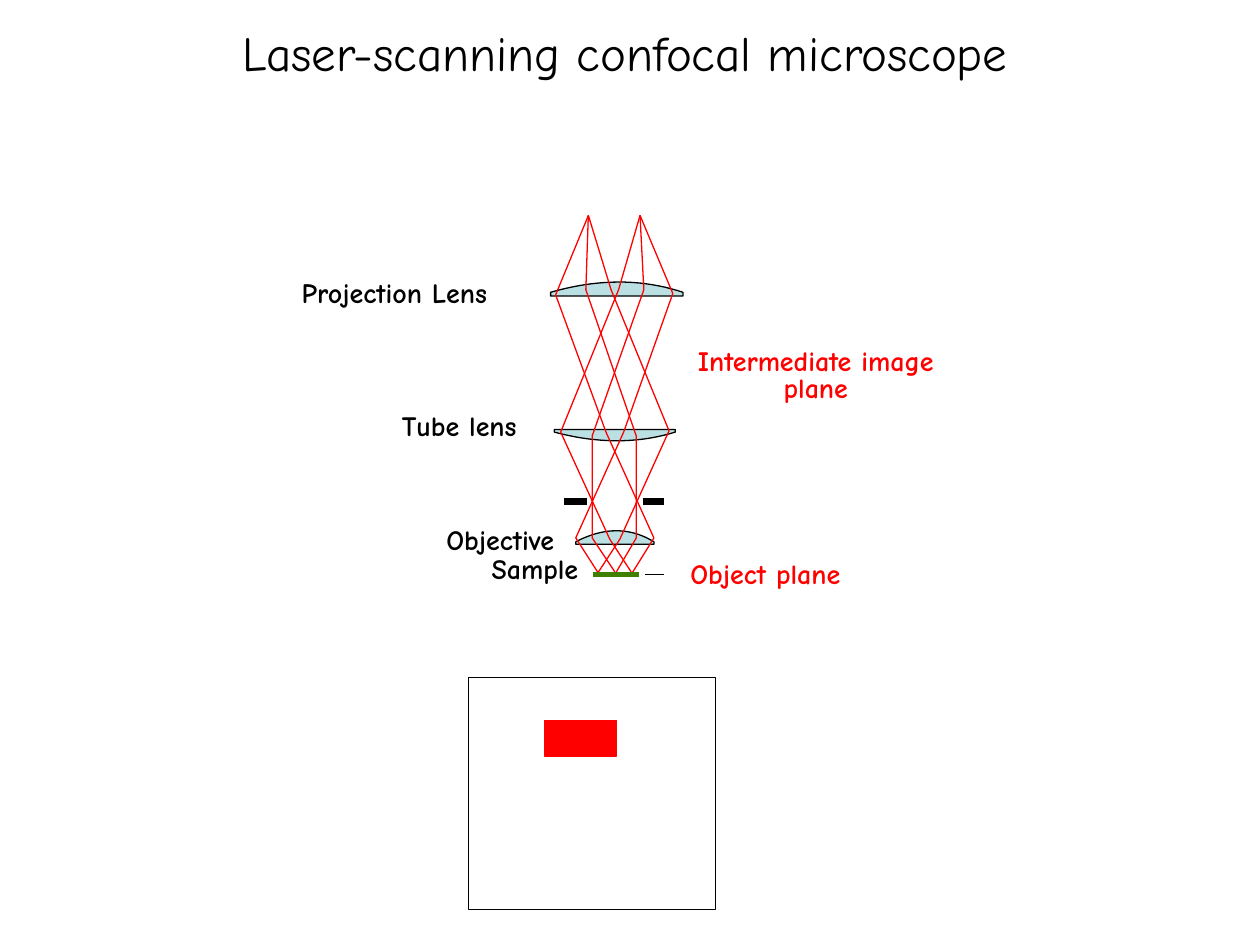
from dataclasses import dataclass

import pptx
import pptx.dml.color
import pptx.enum.shapes
import pptx.enum.text
import pptx.oxml
import pptx.util
from pptx.util import Inches


@dataclass(frozen=True)
class Theme:
    font: str = "Comic Neue"
    title_size: int = 28
    label_size: int = 16
    thin: float = 0.75
    sample_width: float = 3
    stop_width: float = 4.5
    black: str = "000000"
    red: str = "FF0000"
    glass: str = "BBE0E3"
    green: str = "408000"


THEME = Theme()


def rgb(value):
    return pptx.dml.color.RGBColor.from_string(value)


def place(shape, left, top, width, height):
    shape.left, shape.top = Inches(left), Inches(top)
    shape.width, shape.height = Inches(width), Inches(height)


def write(paragraph, text, size, color, bold=False):
    paragraph.alignment = pptx.enum.text.PP_ALIGN.CENTER
    run = paragraph.add_run()
    run.text = text
    run.font.name = THEME.font
    run.font.size = pptx.util.Pt(size)
    run.font.bold = bold
    run.font.color.rgb = rgb(color)


def style(shape, line, fill=None):
    shape.shadow.inherit = False
    if fill:
        shape.fill.solid()
        shape.fill.fore_color.rgb = rgb(fill)
    else:
        shape.fill.background()
    shape.line.color.rgb = rgb(line)
    shape.line.width = pptx.util.Pt(THEME.thin)


def add_title(slide, text):
    title = slide.shapes.title
    place(title, 1.52, 0, 6.88, 0.83)
    title.text_frame.vertical_anchor = pptx.enum.text.MSO_ANCHOR.MIDDLE
    write(title.text_frame.paragraphs[0], text, THEME.title_size, THEME.black)


def add_label(slide, text, box, color, wrap=False, spacing=None):
    label = slide.shapes.add_textbox(*map(Inches, box))
    frame = label.text_frame
    frame.word_wrap = wrap
    frame.auto_size = pptx.enum.text.MSO_AUTO_SIZE.SHAPE_TO_FIT_TEXT
    paragraph = frame.paragraphs[0]
    if spacing:
        paragraph.line_spacing = spacing
    write(paragraph, text, THEME.label_size, color, bold=True)


def add_outline(slide, points, line, fill=None):
    corners = [(Inches(x), Inches(y)) for x, y in points]
    builder = slide.shapes.build_freeform(*corners[0])
    builder.add_line_segments(corners[1:], close=fill is not None)
    style(builder.convert_to_shape(), line, fill)


def add_lens(slide, left, right, flat, rim, bulge, steps=24):
    """Flat on one side, a cubic curve from rim to rim on the other."""
    width = right - left
    xs = (right, left + 0.63 * width, left + 0.28 * width, left)
    ys = (rim, rim + bulge, rim + 0.65 * bulge, rim)
    points = [(left, flat), (right, flat)]
    for step in range(steps + 1):
        t = step / steps
        weights = ((1 - t) ** 3, 3 * t * (1 - t) ** 2, 3 * t * t * (1 - t), t ** 3)
        points.append(tuple(sum(w * v for w, v in zip(weights, axis)) for axis in (xs, ys)))
    add_outline(slide, points, THEME.black, THEME.glass)


def add_bar(slide, left, right, y, color, width):
    bar = slide.shapes.add_connector(
        pptx.enum.shapes.MSO_CONNECTOR.STRAIGHT,
        Inches(left), Inches(y), Inches(right), Inches(y))
    bar.line.color.rgb = rgb(color)
    bar.line.width = pptx.util.Pt(width)
    properties = bar.element.spPr
    properties.append(pptx.oxml.parse_xml(
        '<a:effectLst xmlns:a="http://schemas.openxmlformats.org/drawingml/2006/main"/>'))


def add_rectangle(slide, box, line, fill=None):
    rectangle = slide.shapes.add_shape(
        pptx.enum.shapes.MSO_SHAPE.RECTANGLE, *map(Inches, box))
    style(rectangle, line, fill)


def add_labels(slide):
    for text, box, color in (
            ("Sample", (3.79, 4.33, 0.91, 0.38), THEME.black),
            ("Objective", (3.38, 4.1, 1.18, 0.38), THEME.black),
            ("Tube lens", (3.06, 3.19, 1.17, 0.38), THEME.black),
            ("Projection Lens", (2.19, 2.14, 1.88, 0.37), THEME.black),
            ("Object plane", (5.31, 4.37, 1.53, 0.38), THEME.red)):
        add_label(slide, text, box, color)
    add_label(slide, "Intermediate image plane", (5.41, 2.73, 2.13, 0.55),
              THEME.red, wrap=True, spacing=0.8)


def add_light_path(slide):
    # Projection lens, tube lens, objective
    add_lens(slide, 4.37, 5.42, 2.35, 2.32, -0.13)
    add_lens(slide, 4.4, 5.36, 3.41, 3.43, 0.11)
    add_lens(slide, 4.57, 5.19, 4.32, 4.3, -0.14)

    # Rays from three sample points to the two image points
    left_image, right_image = (4.67, 1.71), (5.08, 1.71)
    for ray in (
            ((4.88, 4.54), (4.7, 4.27), (4.7, 3.46), (5.11, 2.3), right_image),
            ((4.88, 4.56), (5.05, 4.27), (5.05, 3.46), (4.65, 2.3), left_image),
            ((5.01, 4.54), (4.84, 4.28), (4.45, 3.43), (4.91, 2.3), right_image),
            ((5.01, 4.56), (5.19, 4.27), (4.81, 3.43), (4.41, 2.34), left_image),
            ((4.75, 4.54), (4.92, 4.28), (5.31, 3.42), (4.85, 2.3), left_image),
            ((4.75, 4.55), (4.57, 4.27), (4.95, 3.43), (5.34, 2.33), right_image)):
        add_outline(slide, ray, THEME.red)

    # Aperture stop, object plane mark and sample
    add_bar(slide, 4.48, 4.66, 3.98, THEME.black, THEME.stop_width)
    add_bar(slide, 5.1, 5.27, 3.98, THEME.black, THEME.stop_width)
    add_bar(slide, 5.12, 5.27, 4.56, THEME.black, THEME.thin)
    add_bar(slide, 4.71, 5.07, 4.56, THEME.green, THEME.sample_width)


def add_scan_field(slide):
    add_rectangle(slide, (3.72, 5.38, 1.96, 1.84), THEME.black)
    left, top, pixel = 4.33, 5.72, 0.14
    columns, rows = 4, 2
    for row in range(rows):
        for column in range(columns):
            add_rectangle(slide, (left + column * pixel, top + row * pixel, pixel, pixel),
                          THEME.red, THEME.red)
    add_rectangle(slide, (4.32, top, 0.57, rows * pixel), THEME.red)


def main():
    deck = pptx.Presentation()
    deck.slide_width, deck.slide_height = Inches(10), Inches(7.5)
    title_only = deck.slide_layouts[5]
    slide = deck.slides.add_slide(title_only)
    add_title(slide, "Laser-scanning confocal microscope")
    add_labels(slide)
    add_light_path(slide)
    add_scan_field(slide)
    deck.save("out.pptx")


if __name__ == "__main__":
    main()
